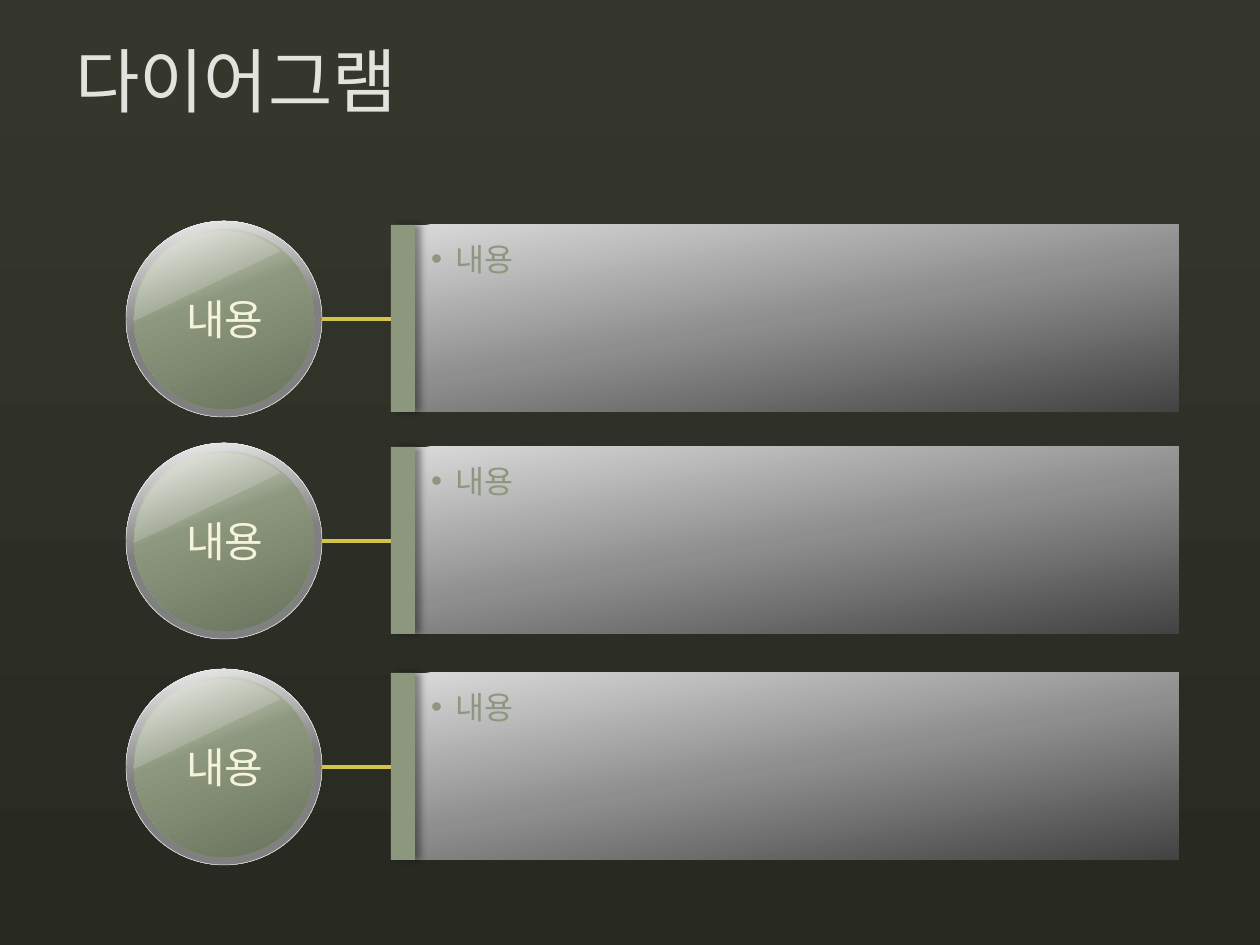
"""Build a diagram slide with three labelled discs linked to content panels."""
from copy import deepcopy
from dataclasses import dataclass

from lxml.etree import SubElement
from pptx import Presentation
from pptx.dml.color import RGBColor
from pptx.enum.shapes import MSO_CONNECTOR, MSO_SHAPE
from pptx.enum.text import MSO_ANCHOR, PP_ALIGN
from pptx.oxml.ns import qn
from pptx.util import Emu, Pt

EMU_PER_PX = 914400 / 126
BACK_TOP = RGBColor(0x35, 0x37, 0x2D)
BACK_BOTTOM = RGBColor(0x28, 0x2A, 0x22)
TITLE_INK = RGBColor(0xE2, 0xE3, 0xDD)
LABEL_INK = RGBColor(0xF6, 0xF3, 0xDB)
SAGE = RGBColor(0x8D, 0x97, 0x7E)
SAGE_LIGHT = RGBColor(0xF4, 0xF5, 0xF2)
SAGE_DARK = RGBColor(0x6A, 0x73, 0x5D)
GLOSS = RGBColor(0xE8, 0xEA, 0xE5)
RIM_LIGHT = RGBColor(0xF2, 0xF2, 0xF2)
RIM_GREY = RGBColor(0x80, 0x80, 0x80)
PANEL_LIGHT = RGBColor(0xD9, 0xD9, 0xD9)
PANEL_GREY = RGBColor(0x8E, 0x8E, 0x8E)
PANEL_DARK = RGBColor(0x43, 0x43, 0x43)
LINK_GOLD = RGBColor(0xD2, 0xC4, 0x49)


@dataclass(frozen=True)
class Row:
    top: int
    label: str
    content: str


@dataclass(frozen=True)
class Gradient:
    stops: tuple[tuple[float, RGBColor], ...]
    clockwise: int


ROWS = [Row(top, "내용", "내용") for top in (221, 443, 669)]
RIM = Gradient(((0, RIM_LIGHT), (0.5, RIM_GREY), (1, RIM_GREY)), 80)
DISC = Gradient(((0, SAGE_LIGHT), (0.4, SAGE), (1, SAGE_DARK)), 70)
PANEL = Gradient(((0, PANEL_LIGHT), (0.5, PANEL_GREY), (1, PANEL_DARK)), 80)


def px(length: int) -> Emu:
    return Emu(round(length * EMU_PER_PX))


def add_plain(shapes, kind: MSO_SHAPE, left: int, top: int, width: int, height: int):
    shape = shapes.add_shape(kind, px(left), px(top), px(width), px(height))
    shape.shadow.inherit = False
    shape.line.fill.background()
    return shape


def paint_gradient(shape, gradient: Gradient) -> None:
    shape.fill.gradient()
    stop_list = shape._element.spPr.find(".//" + qn("a:gsLst"))
    while len(stop_list) < len(gradient.stops):
        stop_list.append(deepcopy(stop_list[-1]))
    for stop, (position, color) in zip(shape.fill.gradient_stops, gradient.stops):
        stop.position = position
        stop.color.rgb = color
    shape.fill.gradient_angle = 360 - gradient.clockwise


def add_run(paragraph, text: str, size: int, font: str, color: RGBColor) -> None:
    run = paragraph.add_run()
    run.text = text
    run.font.size = Pt(size)
    run.font.name = font
    run.font.color.rgb = color


def add_title(slide, text: str) -> None:
    title = slide.shapes.add_textbox(px(63), px(24), px(1134), px(111)).text_frame
    title.word_wrap = True
    title.vertical_anchor = MSO_ANCHOR.MIDDLE
    add_run(title.paragraphs[0], text, 40, "Arial", TITLE_INK)


def add_disc(slide, row: Row) -> None:
    parts = slide.shapes.add_group_shape().shapes
    rim = add_plain(parts, MSO_SHAPE.OVAL, 126, row.top, 196, 196)
    paint_gradient(rim, RIM)
    rim.line.color.rgb = RIM_LIGHT
    rim.line.width = Pt(0.25)
    paint_gradient(add_plain(parts, MSO_SHAPE.OVAL, 134, row.top + 8, 180, 180), DISC)

    gloss = add_plain(parts, MSO_SHAPE.CHORD, 134, row.top + 10, 180, 180)
    gloss.rotation = 90
    gloss.adjustments[0], gloss.adjustments[1] = 53.95, 131.3
    gloss.fill.solid()
    gloss.fill.fore_color.rgb = GLOSS
    gloss_color = gloss._element.spPr.find(".//" + qn("a:srgbClr"))
    SubElement(gloss_color, qn("a:alpha"), val="20000")

    label = parts.add_textbox(px(171), px(row.top + 66), px(108), px(64)).text_frame
    label.word_wrap = False
    label.vertical_anchor = MSO_ANCHOR.MIDDLE
    label.paragraphs[0].alignment = PP_ALIGN.CENTER
    add_run(label.paragraphs[0], row.label, 24, "Lato", LABEL_INK)


def cast_shadow(shape) -> None:
    effects = shape._element.spPr.find(qn("a:effectLst"))
    shadow = SubElement(effects, qn("a:outerShdw"), blurRad=str(Pt(4)),
                        dist=str(Pt(3)), dir="0", algn="l", rotWithShape="0")
    color = SubElement(shadow, qn("a:srgbClr"), val="000000")
    SubElement(color, qn("a:alpha"), val="40000")


def add_panel(slide, row: Row) -> None:
    parts = slide.shapes.add_group_shape().shapes
    panel = add_plain(parts, MSO_SHAPE.RECTANGLE, 401, row.top + 4, 778, 187)
    paint_gradient(panel, PANEL)
    body = panel.text_frame
    body.word_wrap = True
    body.vertical_anchor = MSO_ANCHOR.TOP
    body.margin_left, body.margin_top = px(30), px(15)
    bullet_line = body.paragraphs[0]
    bullet_line.alignment = PP_ALIGN.LEFT
    properties = bullet_line._p.get_or_add_pPr()
    properties.set("marL", str(px(24)))
    properties.set("indent", str(px(-24)))
    SubElement(properties, qn("a:buFont"), typeface="Arial")
    SubElement(properties, qn("a:buChar"), char="•")
    add_run(bullet_line, row.content, 18, "Lato", SAGE)

    edge = add_plain(parts, MSO_SHAPE.RECTANGLE, 391, row.top + 4, 24, 187)
    edge.fill.solid()
    edge.fill.fore_color.rgb = SAGE
    cast_shadow(edge)


def add_link(slide, row: Row) -> None:
    middle = px(row.top + 98)
    link = slide.shapes.add_connector(MSO_CONNECTOR.STRAIGHT, px(322), middle, px(391), middle)
    link.line.color.rgb = LINK_GOLD
    link.line.width = Pt(2.25)
    SubElement(link._element.spPr, qn("a:effectLst"))


def main() -> None:
    deck = Presentation()
    deck.slide_width, deck.slide_height = px(1260), px(945)
    slide = deck.slides.add_slide(deck.slide_layouts[6])
    backdrop = slide.background.fill
    backdrop.gradient()
    backdrop.gradient_angle = 270
    for stop, color in zip(backdrop.gradient_stops, (BACK_TOP, BACK_BOTTOM)):
        stop.color.rgb = color
    add_title(slide, "다이어그램")
    for row in ROWS:
        add_disc(slide, row)
        add_panel(slide, row)
        add_link(slide, row)
    deck.save("out.pptx")


if __name__ == "__main__":
    main()
